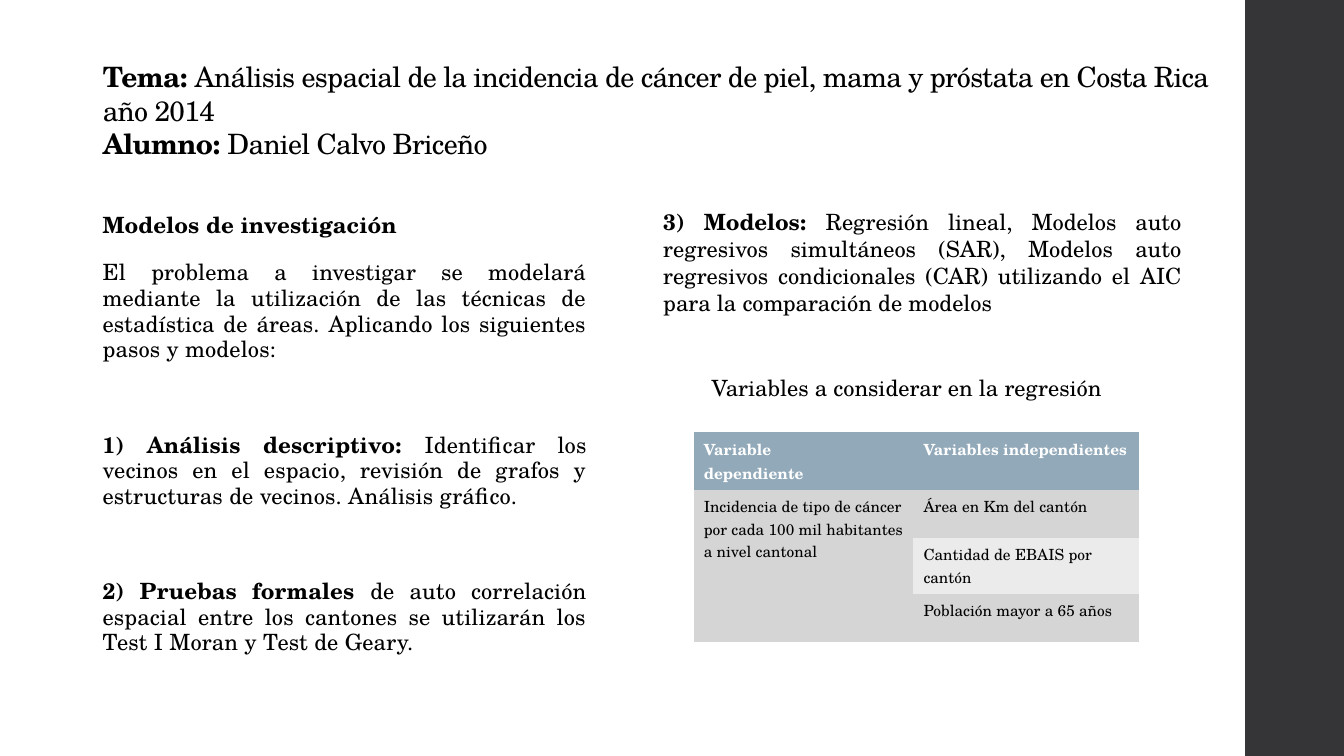
"""Build the slide on spatial analysis of cancer incidence."""
from pptx import Presentation
from pptx.dml.color import RGBColor
from pptx.enum.shapes import MSO_SHAPE
from pptx.enum.text import MSO_ANCHOR, MSO_AUTO_SIZE, PP_ALIGN
from pptx.oxml.ns import qn
from pptx.util import Inches, Pt

RECTANGLE = MSO_SHAPE.RECTANGLE
BOTTOM = MSO_ANCHOR.BOTTOM
NO_AUTOFIT = MSO_AUTO_SIZE.NONE
LEFT, JUSTIFY = PP_ALIGN.LEFT, PP_ALIGN.JUSTIFY

FONT = "TeX Gyre Schola"
BLACK, WHITE, SIDEBAR = "000000", "FFFFFF", "353537"
HEADER, BAND_DARK, BAND_LIGHT = "92A9B9", "D5D5D6", "EBEBEB"
NO_GRID_STYLE = "{2D5ABB26-0587-4C30-8999-92F81FD0307C}"

TITLE_LINES = [
    ("Tema: ", "Análisis espacial de la incidencia de cáncer de piel, mama y "
     "próstata en Costa Rica año 2014"),
    ("Alumno: ", "Daniel Calvo Briceño"),
]
STEPS = [
    (14, "Modelos de investigación", ""),
    (14, "", "El problema a investigar se modelará mediante la utilización de las "
     "técnicas de estadística de áreas. Aplicando los siguientes pasos y modelos:"),
    (48, "1) Análisis descriptivo: ", "Identificar los vecinos en el espacio, "
     "revisión de grafos y estructuras de vecinos. Análisis gráfico."),
    (48, "2) Pruebas formales ", "de auto correlación espacial entre los cantones "
     "se utilizarán los Test I Moran y Test de Geary."),
]
MODELS = ("3) Modelos: ", "Regresión lineal, Modelos auto regresivos simultáneos "
          "(SAR), Modelos auto regresivos condicionales (CAR) utilizando el AIC "
          "para la comparación de modelos")
TABLE_CAPTION = "Variables a considerar en la regresión"
VARIABLES = [
    ("Variable\ndependiente", "Variables independientes"),
    ("Incidencia de tipo de cáncer por cada 100 mil habitantes a nivel cantonal",
     "Área en Km del cantón"),
    ("", "Cantidad de EBAIS por cantón"),
    ("", "Población mayor a 65 años"),
]
COLUMN_WIDTHS = (2.18, 2.24)
ROW_HEIGHTS = (0.57, 0.48, 0.55, 0.48)


def color(value):
    return RGBColor.from_string(value)


def style(paragraph, size, text_color=BLACK, alignment=LEFT):
    paragraph.alignment = alignment
    paragraph.font.name = FONT
    paragraph.font.size = Pt(size)
    paragraph.font.color.rgb = color(text_color)


def add_runs(paragraph, bold_text, plain_text, spacing=0):
    for text, bold in ((bold_text, True), (plain_text, False)):
        if text:
            run = paragraph.add_run()
            run.text = text
            run.font.bold = bold
            run._r.get_or_add_rPr().set("spc", str(spacing))


def place(shape, left, top, width, height):
    shape.left, shape.top = Inches(left), Inches(top)
    shape.width, shape.height = Inches(width), Inches(height)


def add_text_frame(slide, *box):
    frame = slide.shapes.add_textbox(*map(Inches, box)).text_frame
    frame.word_wrap = True
    return frame


def add_sidebar(slide):
    sidebar = slide.shapes.add_shape(
        RECTANGLE, Inches(12.35), 0, Inches(0.98), Inches(7.5))
    sidebar.shadow.inherit = False
    sidebar.fill.solid()
    sidebar.fill.fore_color.rgb = color(SIDEBAR)
    sidebar.line.fill.background()


def add_title(slide):
    title = slide.shapes.title
    place(title, 0.92, 0.32, 11.5, 1.32)
    frame = title.text_frame
    frame.auto_size = NO_AUTOFIT
    frame.vertical_anchor = BOTTOM
    paragraph = frame.paragraphs[0]
    style(paragraph, 20)
    for index, (label, text) in enumerate(TITLE_LINES):
        if index:
            paragraph.add_line_break()
        add_runs(paragraph, label, text, -50)


def add_steps(slide):
    frame = add_text_frame(slide, 0.92, 2.06, 5, 4.45)
    for index, (space_before, label, text) in enumerate(STEPS):
        paragraph = frame.add_paragraph() if index else frame.paragraphs[0]
        style(paragraph, 16, alignment=JUSTIFY)
        paragraph.line_spacing = 0.95
        paragraph.space_before = Pt(space_before)
        paragraph.space_after = Pt(2)
        add_runs(paragraph, label, text, 10)


def add_models(slide):
    paragraph = add_text_frame(slide, 6.48, 2.02, 5.34, 1.48).paragraphs[0]
    style(paragraph, 16, alignment=JUSTIFY)
    add_runs(paragraph, *MODELS)


def add_variables(slide):
    caption = add_text_frame(slide, 6.96, 3.66, 4.33, 0.64).paragraphs[0]
    style(caption, 16)
    add_runs(caption, "", TABLE_CAPTION)

    table = slide.shapes.add_table(
        len(VARIABLES), len(COLUMN_WIDTHS), Inches(6.88), Inches(4.29),
        Inches(sum(COLUMN_WIDTHS)), Inches(sum(ROW_HEIGHTS))).table
    table._tbl.tblPr.find(qn("a:tableStyleId")).text = NO_GRID_STYLE
    for column, width in zip(table.columns, COLUMN_WIDTHS):
        column.width = Inches(width)
    for row, height in zip(table.rows, ROW_HEIGHTS):
        row.height = Inches(height)
    table.cell(1, 0).merge(table.cell(3, 0))

    for row_index, texts in enumerate(VARIABLES):
        is_header = row_index == 0
        band = BAND_DARK if row_index % 2 else BAND_LIGHT
        for column_index, text in enumerate(texts):
            cell = table.cell(row_index, column_index)
            if cell.is_spanned:
                continue
            cell.fill.solid()
            cell.fill.fore_color.rgb = color(HEADER if is_header else band)
            cell.text = text
            for paragraph in cell.text_frame.paragraphs:
                style(paragraph, 11, WHITE if is_header else BLACK)
                paragraph.font.bold = is_header


def main():
    presentation = Presentation()
    presentation.slide_width = Inches(13.33)
    presentation.slide_height = Inches(7.5)
    slide = presentation.slides.add_slide(presentation.slide_layouts[5])
    add_sidebar(slide)
    add_title(slide)
    add_steps(slide)
    add_models(slide)
    add_variables(slide)
    presentation.save("out.pptx")


if __name__ == "__main__":
    main()
